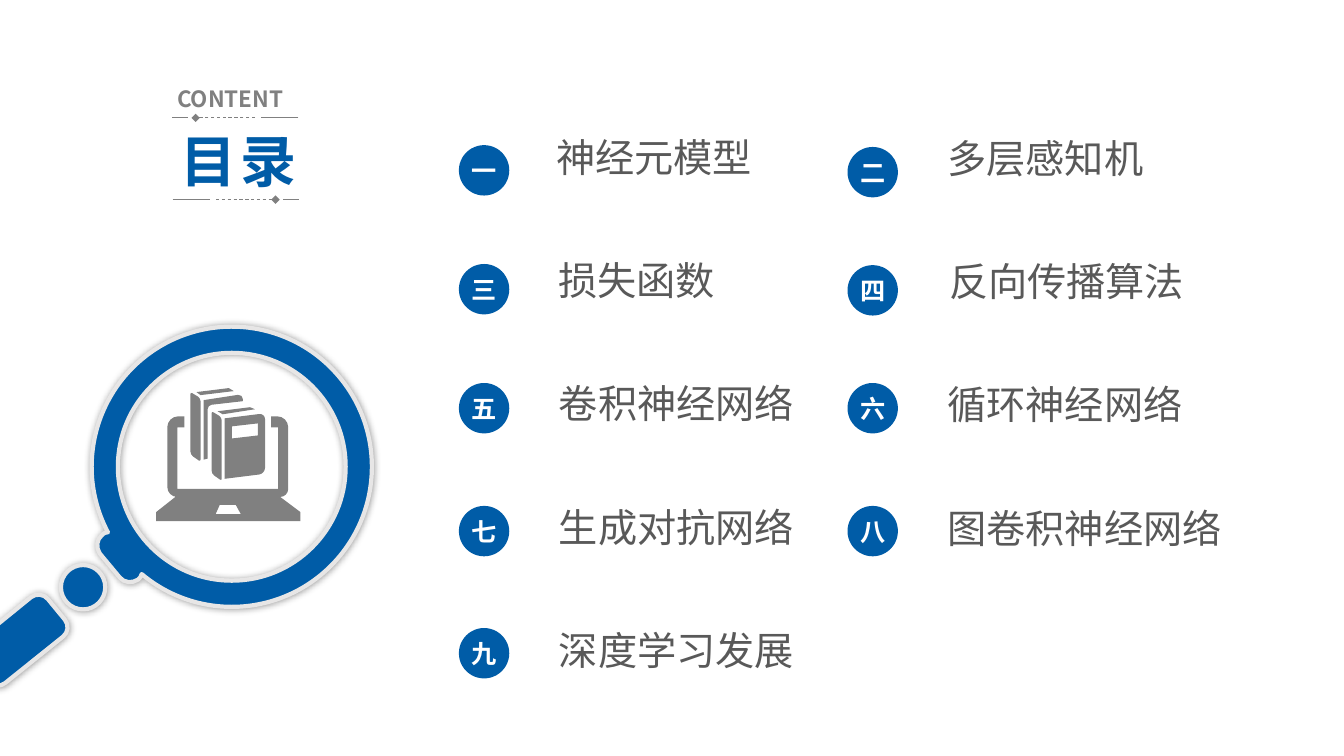
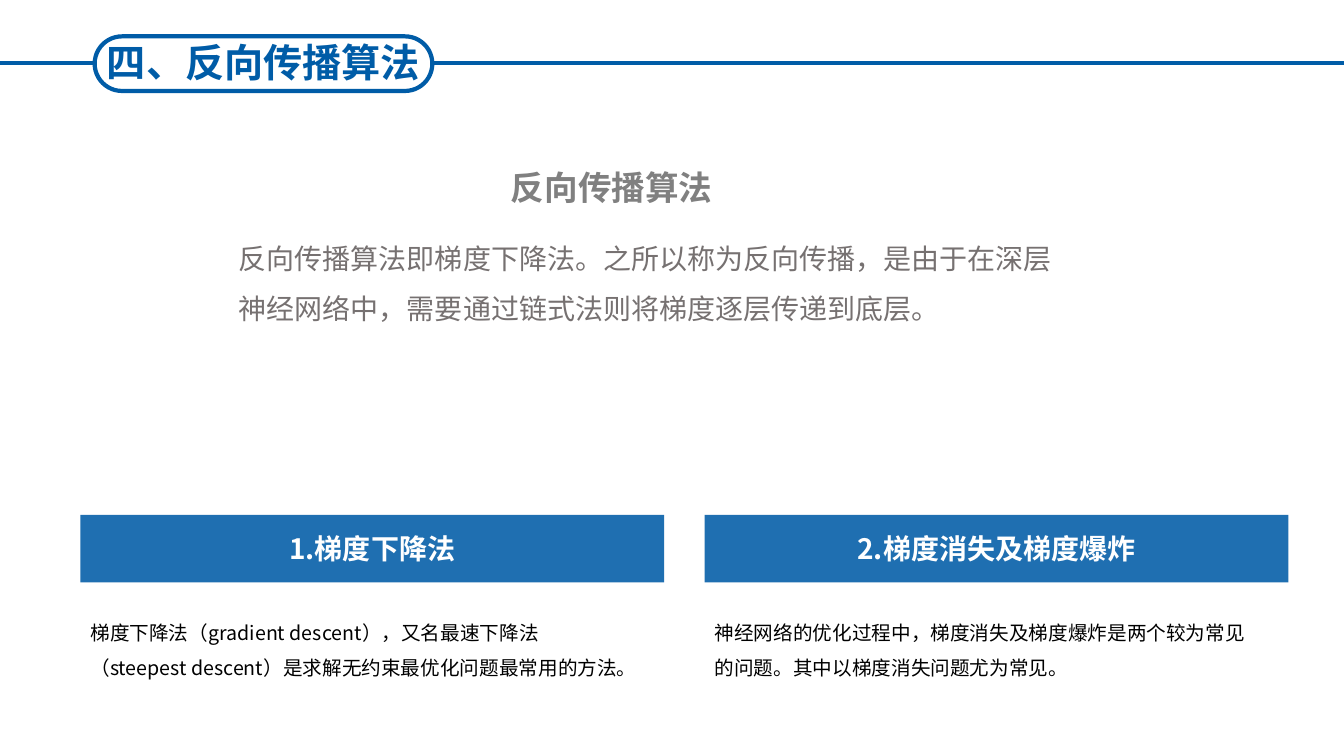
import math

from lxml import etree
from pptx import Presentation
from pptx.dml.color import RGBColor
from pptx.enum import dml, shapes, text
from pptx.oxml import ns
from pptx.util import Pt

COLORS = {
    "blue": "005CA7", "gray": "808080", "rim": "E7E6E6", "entry": "595959",
    "intro": "767171", "white": "FFFFFF", "black": "000000",
}
FONT = "Noto Sans CJK SC"
CENTER = text.PP_ALIGN.CENTER
LEFT = text.PP_ALIGN.LEFT
TOP = text.MSO_ANCHOR.TOP
MIDDLE = text.MSO_ANCHOR.MIDDLE

AGENDA = [
    ("一", "神经元模型", 12.2, 62.4), ("二", "多层感知机", 13.5, 64.3),
    ("三", "损失函数", 97.1, 63.9), ("四", "反向传播算法", 97.9, 65.6),
    ("五", "卷积神经网络", 182.1, 64.4), ("六", "循环神经网络", 182.1, 64.3),
    ("七", "生成对抗网络", 269.9, 64.4), ("八", "图卷积神经网络", 269.9, 64.3),
    ("九", "深度学习发展", 357.1, 64.4),
]
TOPICS = [
    ("1.梯度下降法",
     "梯度下降法（gradient descent），又名最速下降法（steepest descent）"
     "是求解无约束最优化问题最常用的方法。"),
    ("2.梯度消失及梯度爆炸",
     "神经网络的优化过程中，梯度消失及梯度爆炸是两个较为常见的问题。"
     "其中以梯度消失问题尤为常见。"),
]

COLLAR = [
    [(-90, 109), (-91, 110), (-92, 111)], [(-93, 112)],
    [(-99, 116), (-107, 115), (-111, 110)], [(-131, 86)],
    [(-135, 80), (-134, 72), (-129, 68)], [(-128, 67)],
    [(-127, 66), (-125, 65), (-123, 65)],
]
HANDLE = [(-190, 122, 12), (-158, 161, 12), (-234, 222, 12), (-265, 183, 12)]
LAPTOP = [
    (21, 39), (28, 39), (28, 28), (11, 28, 11), (11, 108, 10), (19, 108),
    (0, 123), (0, 132), (143, 132), (143, 123), (123, 108), (131, 108, 8),
    (131, 28, 11), (114, 28), (114, 39), (121, 39), (121, 100), (21, 100),
]
BOOKS = [
    [(63, 116), (79, 116), (84, 125), (59, 125)],
    [(40, 4), (44, 7), (77, 3), (72, 0)],
    [(34, 4, 2), (44, 10, 3), (44, 73, 2), (34, 66, 3)],
    [(61, 23), (66, 26), (98, 21), (93, 19)],
    [(55, 23, 2), (65, 29, 3), (65, 92, 2), (55, 85, 3)],
    [(68, 30), (108, 25, 6), (108, 85, 6), (68, 90)],
    [(75, 38), (101, 35), (101, 47), (75, 50)],
    [(47, 12), (86, 6, 5), (86, 13), (51, 17, 4), (51, 70), (47, 71)],
]


def rgb(name):
    """Look up a palette colour."""
    return RGBColor.from_string(COLORS[name])


def child(parent, tag, **attributes):
    """Append a DrawingML element."""
    return etree.SubElement(parent, ns.qn(tag), attributes)


def place(part, left, top, width, height):
    """Move and size a part in points."""
    part.left, part.top, part.width, part.height = map(Pt, (left, top, width, height))


def write(part, words, size, color, bold=False, align=LEFT, anchor=TOP,
          line=None, tracking=None, wrap=True):
    """Write one formatted paragraph into a part."""
    frame = part.text_frame
    frame.word_wrap = wrap
    frame.auto_size = text.MSO_AUTO_SIZE.NONE
    frame.vertical_anchor = anchor
    paragraph = frame.paragraphs[0]
    paragraph.alignment = align
    paragraph.space_before = Pt(0)
    if line:
        paragraph.line_spacing = line
    if part.is_placeholder:
        properties = paragraph._p.get_or_add_pPr()
        properties.set("marL", "0")
        properties.set("indent", "0")
        child(properties, "a:buNone")
    run = paragraph.add_run()
    run.text = words
    run.font.size = Pt(size)
    run.font.bold = bold
    run.font.color.rgb = rgb(color)
    run.font.name = FONT
    run_properties = run._r.get_or_add_rPr()
    child(run_properties, "a:ea", typeface=FONT)
    if tracking:
        run_properties.set("spc", str(tracking * 100))


def add_label(slide, box, words, size, color, **style):
    """Add a text box."""
    label = slide.shapes.add_textbox(*map(Pt, box))
    write(label, words, size, color, **style)


def set_title(slide, box, words, size, tracking=None):
    """Fill the title placeholder in the shared title style."""
    place(slide.shapes.title, *box)
    write(slide.shapes.title, words, size, "blue", bold=True, align=CENTER,
          tracking=tracking)


def add_block(slide, kind, box):
    """Add a blue shape without outline or shadow."""
    block = slide.shapes.add_shape(kind, *map(Pt, box))
    block.shadow.inherit = False
    block.fill.solid()
    block.fill.fore_color.rgb = rgb("blue")
    block.line.fill.background()
    return block


def add_rule(slide, start, end, y, color, width, diamond=False):
    """Add a horizontal line, dashed with a diamond tip on request."""
    rule = slide.shapes.add_connector(
        shapes.MSO_CONNECTOR.STRAIGHT, Pt(start), Pt(y), Pt(end), Pt(y))
    rule.line.color.rgb = rgb(color)
    rule.line.width = Pt(width)
    if diamond:
        rule.line.dash_style = dml.MSO_LINE.DASH
        child(rule.line._get_or_add_ln(), "a:tailEnd", type="diamond")
    child(rule._element.spPr, "a:effectLst")


def arc(radius, start=0, sweep=360, center=(0, 0)):
    """Describe an arc as a start point and four curves."""
    step = math.radians(sweep / 4)
    reach = 4 / 3 * math.tan(step / 4)

    def spot(angle, pull=0):
        cos, sin = math.cos(angle), math.sin(angle)
        return (center[0] + radius * (cos - pull * sin),
                center[1] + radius * (sin + pull * cos))

    angles = [math.radians(start) + step * i for i in range(5)]
    return [[spot(angles[0])]] + [
        [spot(a, reach), spot(b, -reach), spot(b)] for a, b in zip(angles, angles[1:])]


def rounded(corners):
    """Describe a polygon, curving each corner that names a radius."""
    contour = []
    for i, (x, y, *radius) in enumerate(corners):
        if not radius:
            contour.append([(x, y)])
            continue
        ends, pulls = [], []
        for near in (corners[i - 1], corners[(i + 1) % len(corners)]):
            share = radius[0] / math.dist((x, y), near[:2])
            for spots, part in ((ends, share), (pulls, share * 0.45)):
                spots.append((x + (near[0] - x) * part, y + (near[1] - y) * part))
        contour += [[ends[0]], pulls + [ends[1]]]
    return contour


def add_outline(slide, left, top, contours, color):
    """Draw lines and curves, in hundredths of an inch, as one outline."""
    scaled = [[[(x * 72, y * 72) for x, y in step] for step in contour]
              for contour in contours]
    builder = slide.shapes.build_freeform(*scaled[0][0][0], scale=Pt(0.01))
    for i, contour in enumerate(scaled):
        if i:
            builder.move_to(*contour[0][0])
        builder.add_line_segments([p for step in contour[1:] for p in step], close=True)
    outline = builder.convert_to_shape(Pt(left), Pt(top))
    lines = iter(list(outline._element.iter(ns.qn("a:lnTo"))))
    for step in (step for contour in scaled for step in contour[1:]):
        first, *others = [next(lines) for _ in step]
        if others:
            first.tag = ns.qn("a:cubicBezTo")
            for other in others:
                first.append(other[0])
                other.getparent().remove(other)
    outline.shadow.inherit = False
    outline.fill.solid()
    outline.fill.fore_color.rgb = rgb(color)
    outline.line.fill.background()
    return outline


def add_magnifier(slide, x, y):
    """Draw the magnifier around a lens centre, with laptop and books inside."""
    glass = add_outline(slide, x, y, [
        arc(139, 152, 338) + COLLAR, arc(113),
        arc(22, center=(-147.5, 119.5)), rounded(HANDLE)], "blue")
    glass.line.color.rgb = rgb("rim")
    glass.line.width = Pt(3)
    effects = glass._element.spPr.find(ns.qn("a:effectLst"))
    shadow = child(effects, "a:outerShdw", blurRad=str(Pt(5)), dist="0", dir="0",
                   algn="ctr", rotWithShape="0")
    child(child(shadow, "a:srgbClr", val=COLORS["black"]), "a:alpha", val="40000")
    add_outline(slide, x - 54, y - 56.2,
                [rounded(part) for part in [LAPTOP] + BOOKS], "gray")


def add_ornament(slide, start, y, direction):
    """Draw a three-part rule running from its start in one direction."""
    for begin, end, diamond in ((0, 26.6, False), (31, 73.5, True), (79, 90, False)):
        add_rule(slide, start + direction * begin, start + direction * end, y,
                 "gray", 0.6, diamond)


def add_heading(slide, left, top):
    """Place the contents heading between its two ornaments."""
    add_label(slide, (left + 15, top, 98, 26.6), "CONTENT", 16, "gray", bold=True)
    add_ornament(slide, left + 108.7, top + 26.6, -1)
    set_title(slide, (left, top + 29.2, 132, 55.4), "目录", 40, tracking=3)
    add_ornament(slide, left + 18.8, top + 85, 1)


def add_agenda(slide, left, top):
    """Place the numbered entries in two columns."""
    for i, (number, entry, drop, gap) in enumerate(AGENDA):
        row, column = divmod(i, 2)
        x = left + column * 277.6
        badge = add_block(slide, shapes.MSO_SHAPE.OVAL, (x, top + drop, 36, 36))
        frame = badge.text_frame
        frame.margin_left = frame.margin_right = 0
        frame.margin_top = frame.margin_bottom = 0
        write(badge, number, 18, "white", bold=True, align=CENTER, anchor=MIDDLE)
        add_label(slide, (x + gap, top + row * 88.1 + column * 0.7, 212, 41), entry, 28,
                  "entry", wrap=False)


def add_header(slide, left, top, words):
    """Place the section title in its pill on the header line."""
    add_rule(slide, left + 241.5, 960, top + 18.9, "blue", 3)
    add_rule(slide, 0, left, top + 18.9, "blue", 3)
    pill = add_block(slide, shapes.MSO_SHAPE.ROUNDED_RECTANGLE,
                     (left, top, 241.2, 39))
    pill.adjustments[0] = 0.5
    pill.fill.background()
    pill.line.color.rgb = rgb("blue")
    pill.line.width = Pt(3)
    set_title(slide, (left, top - 2, 241.2, 41), words, 28)


def add_intro(slide, left, top):
    """Place the introduction and its heading."""
    add_label(slide, (left, top + 40.7, 614, 92),
              "反向传播算法即梯度下降法。之所以称为反向传播，是由于在深层"
              "神经网络中，需要通过链式法则将梯度逐层传递到底层。",
              20, "intro", line=1.5)
    add_label(slide, (left + 194.5, top, 214.5, 36), "反向传播算法", 24, "gray",
              bold=True)


def add_topic(slide, left, top, topic, body):
    """Place a topic banner above its explanation."""
    name, explanation = topic
    banner = add_block(slide, shapes.MSO_SHAPE.RECTANGLE, (left, top, 417, 48.2))
    tone = banner._element.spPr.find(ns.qn("a:solidFill"))[0]
    child(tone, "a:alpha", val="88000")
    write(banner, name, 20, "white", bold=True, align=CENTER, anchor=MIDDLE)
    place(body, left, top + 63.6, 395.3, 57.6)
    write(body, explanation, 14, "black", line=1.5)


def build_contents(deck):
    """Build the contents slide."""
    slide = deck.slides.add_slide(deck.slide_layouts[5])
    add_heading(slide, 104.5, 57.6)
    add_magnifier(slide, 165.6, 333.4)
    add_agenda(slide, 327.8, 91.5)


def build_section(deck):
    """Build the backpropagation slide."""
    slide = deck.slides.add_slide(deck.slide_layouts[3])
    add_header(slide, 67.6, 26, "四、反向传播算法")
    add_intro(slide, 163.4, 116)
    for i, topic in enumerate(TOPICS):
        add_topic(slide, 57.4 + i * 445.9, 367.8, topic, slide.placeholders[i + 1])


def main():
    """Build and save the deck."""
    deck = Presentation()
    deck.slide_width, deck.slide_height = Pt(960), Pt(540)
    build_contents(deck)
    build_section(deck)
    deck.save("out.pptx")


if __name__ == "__main__":
    main()
